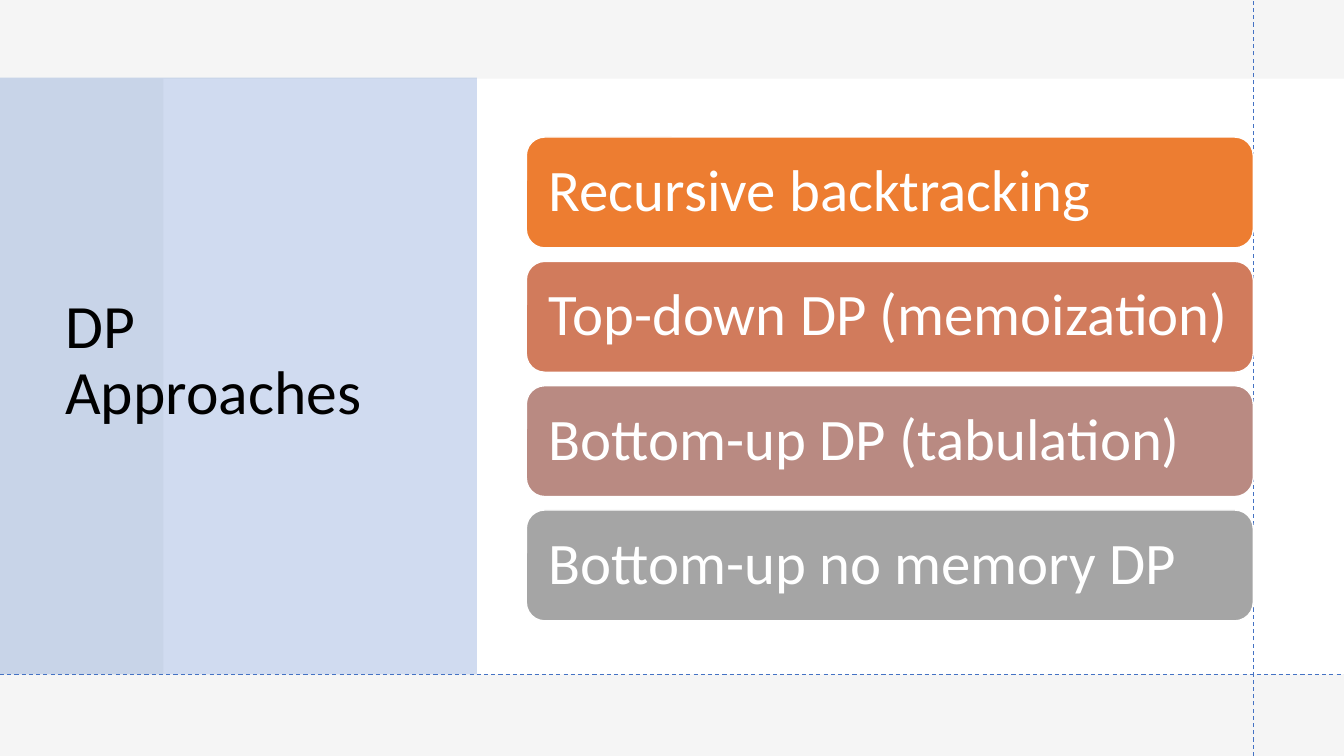
"""Build the slide on approaches to dynamic programming."""
from pptx import Presentation
from pptx.dml.color import RGBColor
from pptx.enum import dml, shapes, text
from pptx.oxml import ns, xmlchemy
from pptx.util import Inches, Pt

COLORS = {"backdrop": "F5F5F5", "white": "FFFFFF", "black": "000000", "blue": "4472C4"}
APPROACHES = [
    ("Recursive backtracking", "ED7D31"),
    ("Top-down DP (memoization)", "D17B5C"),
    ("Bottom-up DP (tabulation)", "B98A82"),
    ("Bottom-up no memory DP", "A5A5A5"),
]
BAR_TOP, BAR_PITCH = 1.36, 3.7 / 3
TITLE_FORMAT = {"size": Pt(44), "name": "Calibri"}
BAR_FORMAT = {"size": Pt(42), "name": "Calibri"}
FRAME_FORMAT = {"word_wrap": True, "vertical_anchor": text.MSO_ANCHOR.MIDDLE}
BAR_INSETS = {
    "margin_left": Inches(0.17),
    "margin_top": Inches(0.17),
    "margin_right": Inches(0.1),
    "margin_bottom": Inches(0.17),
}


def apply_format(target, values):
    for name, value in values.items():
        setattr(target, name, value)


def paint(fill, color):
    fill.solid()
    fill.fore_color.rgb = RGBColor.from_string(color)


def write(frame, wording, color, font_format, insets):
    apply_format(frame, {**FRAME_FORMAT, **insets})
    paragraph = frame.paragraphs[0]
    paragraph.text = wording
    apply_format(paragraph, {"line_spacing": 0.9, "alignment": text.PP_ALIGN.LEFT})
    apply_format(paragraph.font, font_format)
    paragraph.font.color.rgb = RGBColor.from_string(color)


def add_panel(slide, box, color, opacity=100):
    panel = slide.shapes.add_shape(shapes.MSO_SHAPE.RECTANGLE, *map(Inches, box))
    panel.shadow.inherit = False
    panel.line.fill.background()
    paint(panel.fill, color)
    if opacity < 100:
        tint = panel.fill._xPr.find(".//" + ns.qn("a:srgbClr"))
        alpha = xmlchemy.OxmlElement("a:alpha")
        alpha.set("val", str(opacity * 1000))
        tint.append(alpha)


def add_title(slide, wording):
    title = slide.shapes.add_textbox(*map(Inches, (0.55, 0.74, 3.8, 5.69)))
    write(title.text_frame, wording, COLORS["black"], TITLE_FORMAT, {})


def add_guide(slide, start, end):
    guide = slide.shapes.add_connector(
        shapes.MSO_CONNECTOR.STRAIGHT, *map(Inches, start + end)
    )
    paint(guide.line.fill, COLORS["blue"])
    apply_format(guide.line, {"width": Pt(0.75), "dash_style": dml.MSO_LINE.DASH})
    guide._element.spPr.append(xmlchemy.OxmlElement("a:effectLst"))


def add_bar(slide, top, wording, color):
    bar = slide.shapes.add_shape(
        shapes.MSO_SHAPE.ROUNDED_RECTANGLE, *map(Inches, (5.22, top, 7.21, 1.1))
    )
    bar.shadow.inherit = False
    paint(bar.fill, color)
    paint(bar.line.fill, COLORS["white"])
    bar.line.width = Pt(1)
    write(bar.text_frame, wording, COLORS["white"], BAR_FORMAT, BAR_INSETS)


def main():
    deck = Presentation()
    apply_format(deck, {"slide_width": Inches(13.33), "slide_height": Inches(7.5)})
    slide = deck.slides.add_slide(deck.slide_layouts[6])
    paint(slide.background.fill, COLORS["backdrop"])
    add_panel(slide, (1.62, 0.78, 11.71, 5.91), COLORS["white"])
    add_panel(slide, (0, 0.77, 4.73, 5.92), COLORS["blue"], opacity=25)
    add_title(slide, "DP Approaches")
    add_guide(slide, (12.43, 7.5), (12.43, 0))
    add_guide(slide, (0, 6.69), (13.33, 6.69))
    for row, (wording, color) in enumerate(APPROACHES):
        add_bar(slide, BAR_TOP + row * BAR_PITCH, wording, color)
    deck.save("out.pptx")


if __name__ == "__main__":
    main()
